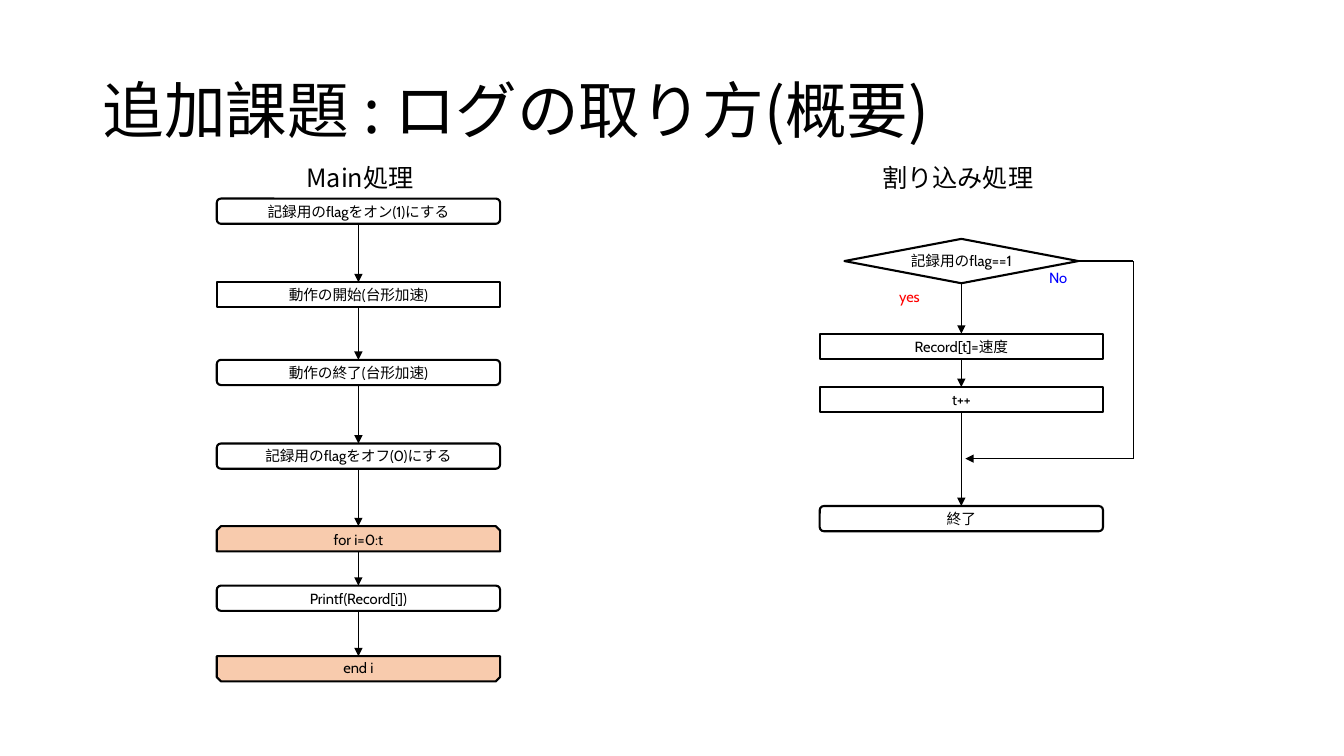
"""Build a slide with two flow charts: the main routine and the logging interrupt."""
from lxml import etree
from pptx import Presentation
from pptx.dml.color import RGBColor
from pptx.enum.shapes import MSO_CONNECTOR, MSO_SHAPE
from pptx.enum.text import MSO_ANCHOR, PP_ALIGN
from pptx.oxml.ns import qn
from pptx.util import Inches, Pt

STRAIGHT = MSO_CONNECTOR.STRAIGHT
TERMINAL = MSO_SHAPE.FLOWCHART_ALTERNATE_PROCESS
PROCESS = MSO_SHAPE.FLOWCHART_PROCESS
DECISION = MSO_SHAPE.FLOWCHART_DECISION
ROUNDED = MSO_SHAPE.ROUNDED_RECTANGLE
LOOP = MSO_SHAPE.SNIP_2_SAME_RECTANGLE
CENTER, LEFT = PP_ALIGN.CENTER, PP_ALIGN.LEFT
MIDDLE, TOP = MSO_ANCHOR.MIDDLE, MSO_ANCHOR.TOP
BOTTOM_SIDE, TOP_SIDE, RIGHT_SIDE = 2, 0, 3

COLORS = {"ink": "000000", "loop": "F8CBAD", "yes": "FF0000", "no": "0000FF"}
JAPANESE, LATIN = "Noto Sans CJK JP", "Cabin"
CELL = Inches(0.1)
STEP_WIDTH, STEP_HEIGHT = 28.1, 2.5
MAIN_LEFT, INTERRUPT_LEFT = 21.5, 81.3
INTERRUPT_AXIS = INTERRUPT_LEFT + STEP_WIDTH / 2
BYPASS_COLUMN, MERGE_ROW = 112.4, 45.5

deck = Presentation()
deck.slide_width, deck.slide_height = Inches(13.33), Inches(7.5)
page = deck.slides.add_slide(deck.slide_layouts[6])


def write(text, column, row, width, height, preset=None, size=10.5, font=LATIN,
          color="ink", fill=None, line=None, align=CENTER, anchor=MIDDLE, spacing=None):
    area = [round(value * CELL) for value in (column, row, width, height)]
    if preset is None:
        box = page.shapes.add_textbox(*area)
    else:
        box = page.shapes.add_shape(preset, *area)
        box.shadow.inherit = False
        box.fill.background()
        box.line.fill.background()
    if fill:
        box.fill.solid()
        box.fill.fore_color.rgb = RGBColor.from_string(COLORS[fill])
    if line:
        box.line.color.rgb = RGBColor.from_string(COLORS["ink"])
        box.line.width = Pt(line)
    box.text_frame.word_wrap = preset is None
    box.text_frame.vertical_anchor = anchor
    para = box.text_frame.paragraphs[0]
    para.alignment = align
    para.line_spacing = spacing
    span = para.add_run()
    span.text = text
    span.font.size = Pt(size)
    span.font.name = font
    span.font.color.rgb = RGBColor.from_string(COLORS[color])
    etree.SubElement(span.font._element, qn("a:ea"), typeface=JAPANESE)
    return box


def link(start=(0, 0), end=(0, 0), source=None, target=None, side=BOTTOM_SIDE, arrow=True):
    ends = [round(value * CELL) for value in (*start, *end)]
    connector = page.shapes.add_connector(STRAIGHT, *ends)
    if source is not None:
        connector.begin_connect(source, side)
    if target is not None:
        connector.end_connect(target, TOP_SIDE)
    connector.line.color.rgb = RGBColor.from_string(COLORS["ink"])
    connector.line.width = Pt(1)
    if arrow:
        etree.SubElement(connector.line._get_or_add_ln(), qn("a:tailEnd"), type="triangle")
    etree.SubElement(connector._element.spPr, qn("a:effectLst"))


write("追加課題 : ログの取り方(概要)", 9.2, 4, 115, 14.5, size=44, font=JAPANESE,
      align=LEFT, spacing=0.9)
for heading, column, width in (("Main処理", 29.4, 16.1), ("割り込み処理", 86.5, 18.4)):
    write(heading, column, 15.6, width, 4, size=18, font=JAPANESE, align=LEFT, anchor=TOP)

main_steps = [
    ("記録用のflagをオン(1)にする", 19.7, TERMINAL, None),
    ("動作の開始(台形加速)", 28, PROCESS, None),
    ("動作の終了(台形加速)", 35.7, ROUNDED, None),
    ("記録用のflagをオフ(0)にする", 44, TERMINAL, None),
    ("for i=0:t", 52.2, LOOP, "loop"),
    ("Printf(Record[i])", 58.1, TERMINAL, None),
    ("end i", 65.1, LOOP, "loop"),
]
main_boxes = [
    write(text, MAIN_LEFT, row, STEP_WIDTH, STEP_HEIGHT, preset=preset, fill=fill, line=1.5)
    for text, row, preset, fill in main_steps
]
loop_end = main_boxes[-1]
loop_end.adjustments[0], loop_end.adjustments[1] = 0, 0.17

decision = write("記録用のflag==1", INTERRUPT_AXIS - 11.6, 23.7, 23.2, 4.4,
                 preset=DECISION, line=1.5)
interrupt_steps = [("Record[t]=速度", 33.1, PROCESS), ("t++", 38.4, PROCESS),
                   ("終了", 50.2, ROUNDED)]
interrupt_boxes = [decision] + [
    write(text, INTERRUPT_LEFT, row, STEP_WIDTH, STEP_HEIGHT, preset=preset, line=1.5)
    for text, row, preset in interrupt_steps
]
write("No", 95.1, 26.3, 19.7, 2.5, preset=PROCESS, color="no")
write("yes", 88.3, 28.3, 3.8, 2.3, preset=PROCESS, color="yes")

for chain in (main_boxes, interrupt_boxes):
    for source, target in zip(chain, chain[1:]):
        link(source=source, target=target)

link(end=(BYPASS_COLUMN, 25.9), source=decision, side=RIGHT_SIDE, arrow=False)
link((BYPASS_COLUMN, 25.9), (BYPASS_COLUMN, MERGE_ROW), arrow=False)
link((BYPASS_COLUMN, MERGE_ROW), (INTERRUPT_AXIS + 0.4, MERGE_ROW))

deck.save("out.pptx")
